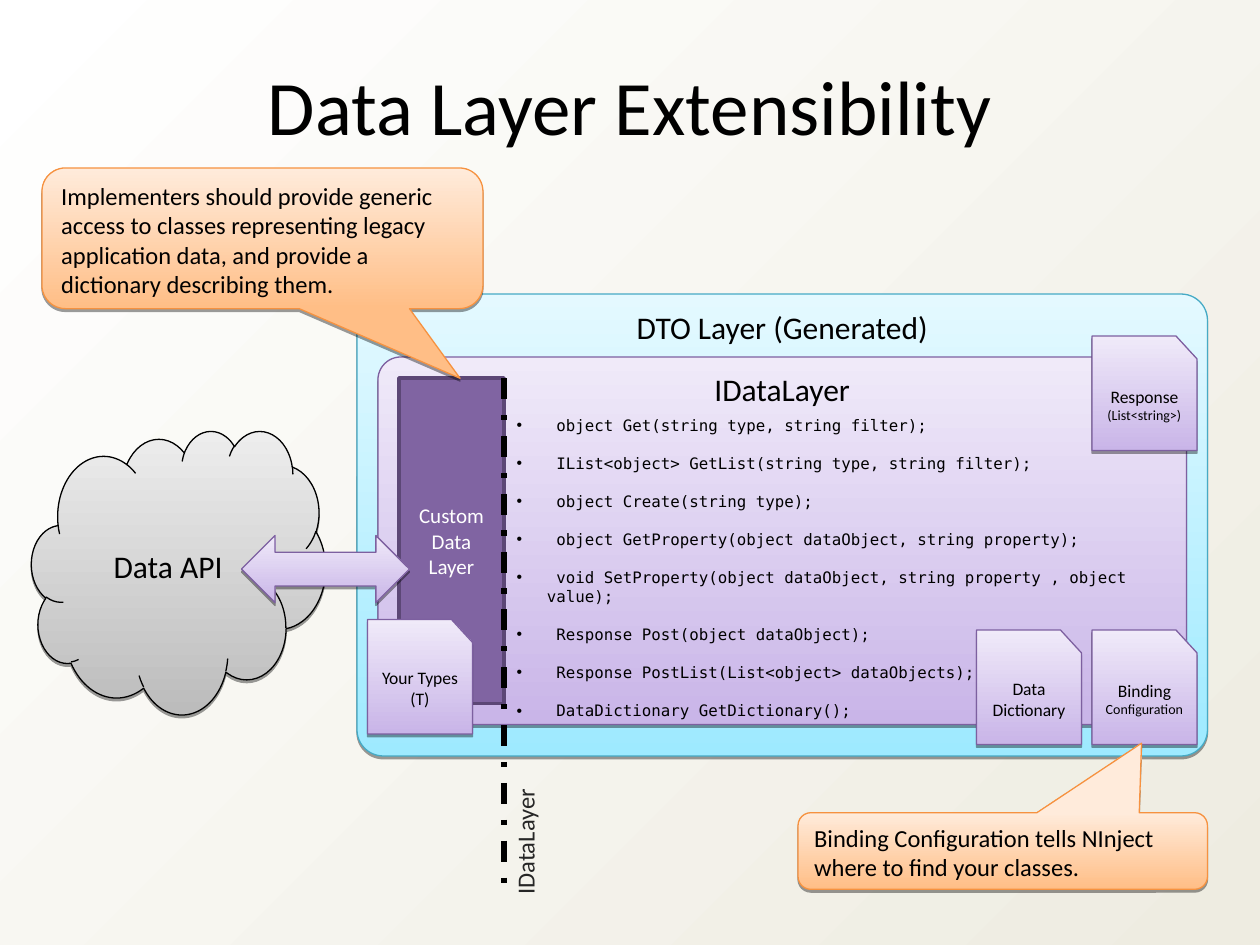
from itertools import cycle

from lxml.etree import SubElement
from pptx import Presentation
from pptx.dml.color import RGBColor
from pptx.enum.dml import MSO_LINE
from pptx.enum.shapes import MSO_CONNECTOR, MSO_SHAPE
from pptx.enum.text import MSO_ANCHOR, MSO_AUTO_SIZE, PP_ALIGN
from pptx.oxml.ns import qn
from pptx.util import Inches, Pt

CELL = Inches(1) / 12  # the slide is a grid of 120 columns by 90 rows
BLACK = "000000"
PURPLE = ("C9B5E8", "F0EAF9", "7D60A0")  # bottom, top, outline
CYAN = ("9EEAFF", "E4F9FF", "46AAC5")
GRAY = ("BCBCBC", "EDEDED", BLACK)
ORANGE = ("FFBE86", "FFEBDB", "F69240")

METHODS = [
    "object Get(string type, string filter);",
    "IList<object> GetList(string type, string filter);",
    "object Create(string type);",
    "object GetProperty(object dataObject, string property);",
    "void SetProperty(object dataObject, string property , object value);",
    "Response Post(object dataObject);",
    "Response PostList(List<object> dataObjects);",
    "DataDictionary GetDictionary();",
]


def rgb(code):
    return RGBColor.from_string(code)


def cells(*counts):
    return [round(count * CELL) for count in counts]


def place(part, box):
    part.left, part.top, part.width, part.height = cells(*box)


def fill_gradient(fill, first, last, angle):
    fill.gradient()
    fill.gradient_angle = angle
    for stop, code in zip(fill.gradient_stops, (first, last)):
        stop.color.rgb = rgb(code)


def write(part, text, sizes, color=BLACK, font="Calibri",
          align=PP_ALIGN.CENTER, anchor=MSO_ANCHOR.MIDDLE):
    """Set the text; sizes are taken in turn by its runs."""
    frame = part.text_frame
    frame.text = text
    frame.word_wrap = True
    frame.auto_size = MSO_AUTO_SIZE.NONE
    frame.vertical_anchor = anchor
    next_size = cycle(sizes)
    for paragraph in frame.paragraphs:
        paragraph.alignment = align
        for run in paragraph.runs:
            run.font.size = Pt(next(next_size))
            run.font.name = font
            run.font.color.rgb = rgb(color)


def drop_shadow(shape):
    shape.shadow.inherit = False
    effects = shape._element.spPr.find(qn("a:effectLst"))
    shadow = SubElement(effects, qn("a:outerShdw"), blurRad="0",
                        dist=str(Pt(1.6)), dir="5400000", rotWithShape="0")
    tint = SubElement(shadow, qn("a:srgbClr"), val=BLACK)
    SubElement(tint, qn("a:alpha"), val="38000")


def glossy(slide, kind, box, palette, adjustments=()):
    """Add a shape with a vertical gradient, thin outline and shadow."""
    shape = slide.shapes.add_shape(kind, *cells(*box))
    for index, value in enumerate(adjustments):
        shape.adjustments[index] = value
    bottom, top, outline = palette
    fill_gradient(shape.fill, bottom, top, 90)
    shape.line.color.rgb = rgb(outline)
    shape.line.width = Pt(0.75)
    drop_shadow(shape)
    return shape


def layer(slide, box, name, palette, radius):
    panel = glossy(slide, MSO_SHAPE.ROUNDED_RECTANGLE, box, palette, [radius])
    write(panel, name, [18], anchor=MSO_ANCHOR.TOP)


def data_api(slide, box):
    write(glossy(slide, MSO_SHAPE.CLOUD, box, GRAY), "Data API", [18])


def custom_layer(slide, box):
    block = slide.shapes.add_shape(MSO_SHAPE.RECTANGLE, *cells(*box))
    block.shadow.inherit = False
    block.fill.solid()
    block.fill.fore_color.rgb = rgb("8064A2")
    block.line.color.rgb = rgb("5C4776")
    block.line.width = Pt(2)
    write(block, "Custom\vData Layer", [12], "FFFFFF")


def interface_boundary(slide, box):
    """Draw the dashed line down the left of the box, its label at the foot."""
    left, top, width, height = box
    group = slide.shapes.add_group_shape()
    length = 14.28
    label = group.shapes.add_textbox(*cells(
        left + (width - length) / 2, top + height - length / 2 - width / 2 + 1.4,
        length, width))
    label.rotation = 270
    write(label, "IDataLayer", [14], "262626", align=PP_ALIGN.LEFT,
          anchor=MSO_ANCHOR.TOP)
    border = group.shapes.add_connector(
        MSO_CONNECTOR.STRAIGHT, *cells(left, top, left, top + height))
    border.line.color.rgb = rgb(BLACK)
    border.line.width = Pt(3)
    border.line.dash_style = MSO_LINE.DASH_DOT
    SubElement(border._element.spPr, qn("a:effectLst"))


def method_list(slide, body, box):
    slide.shapes._spTree.append(body._element)  # lift above the panels
    place(body, box)
    write(body, "\n".join(f" {method}" for method in METHODS), [9],
          font="DejaVu Sans Mono", align=PP_ALIGN.LEFT, anchor=MSO_ANCHOR.TOP)
    hanging = Inches(0.24)
    for paragraph in body.text_frame.paragraphs:
        paragraph.space_before = Pt(0)
        paragraph.space_after = Pt(10.9)
        properties = paragraph._p.get_or_add_pPr()
        properties.set("marL", str(hanging))
        properties.set("indent", str(-hanging))


def card(slide, left, top, text, sizes):
    punched = glossy(slide, MSO_SHAPE.FLOWCHART_CARD, (left, top, 10, 10.9), PURPLE)
    punched._element.spPr.find(qn("a:xfrm")).set("flipH", "1")
    write(punched, text, sizes)


def callout(slide, box, text, tip):
    bubble = glossy(slide, MSO_SHAPE.ROUNDED_RECTANGULAR_CALLOUT, box, ORANGE, tip)
    write(bubble, text, [14], align=PP_ALIGN.LEFT, anchor=MSO_ANCHOR.TOP)


def extensibility_slide(deck):
    slide = deck.slides.add_slide(deck.slide_layouts[1])
    fill_gradient(slide.background.fill, "FFFFFF", "EEECE1", 315)
    title, body = slide.placeholders
    place(title, (2, 5, 116, 10.1))
    write(title, "Data Layer Extensibility", [44], anchor=MSO_ANCHOR.TOP)

    layer(slide, (34, 28, 81, 44), "DTO Layer (Generated)", CYAN, 0.057)
    data_api(slide, (3, 41, 28, 27))
    layer(slide, (36, 34, 77, 35), "IDataLayer", PURPLE, 0.062)
    custom_layer(slide, (38, 36, 10, 31))
    interface_boundary(slide, (48, 36, 4, 49))
    glossy(slide, MSO_SHAPE.LEFT_RIGHT_ARROW, (23, 51, 16, 6.4), PURPLE, [0.5, 0.5])
    method_list(slide, body, (48, 39, 66, 28.3))

    card(slide, 104, 32, "Response\v(List<string>)", [10, 8])
    card(slide, 35, 59, "Your Types (T)", [10])
    card(slide, 93, 60, "Data\vDictionary", [10])
    card(slide, 104, 60, "Binding\vConfiguration", [10, 8])

    callout(slide, (4, 16, 42, 13.4),
            "Implementers should provide generic access to classes representing "
            "legacy application data, and provide a dictionary describing them.",
            [0.448, 0.995, 0.167])
    callout(slide, (76, 77.4, 39, 7.3),
            "Binding Configuration tells NInject where to find your classes.",
            [0.339, -1.407, 0.167])


def main():
    deck = Presentation()
    deck.slide_width, deck.slide_height = cells(120, 90)
    extensibility_slide(deck)
    deck.save("out.pptx")


if __name__ == "__main__":
    main()
